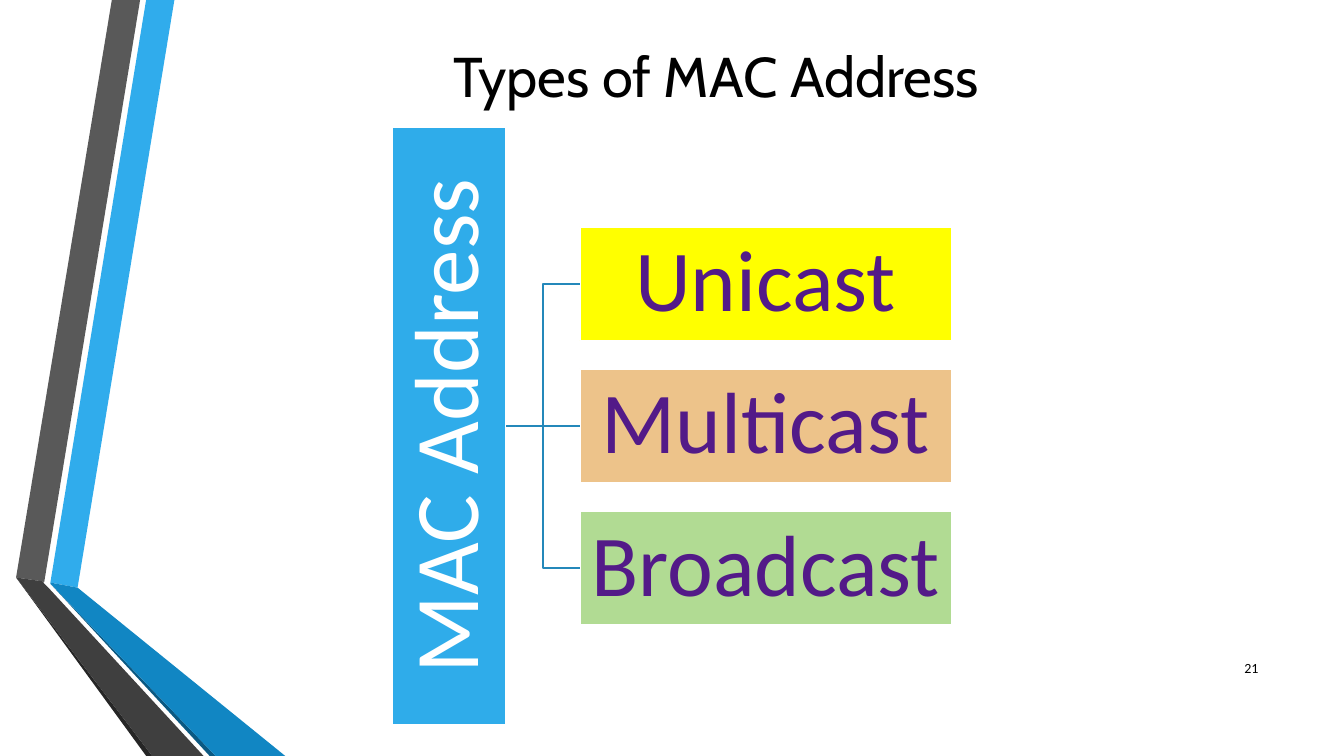
from dataclasses import dataclass

from lxml import etree
from pptx import Presentation
from pptx import util as u
from pptx.dml.color import RGBColor
from pptx.enum import shapes, text
from pptx.oxml.ns import qn


@dataclass(frozen=True)
class Theme:
    title_font: str = "Cabin"
    body_font: str = "Calibri"
    title_size: int = 40
    root_size: int = 65
    branch_size: int = 62
    number_size: int = 10
    black: str = "000000"
    white: str = "FFFFFF"
    purple: str = "531A88"
    root_fill: str = "2FACEA"
    connector: str = "2488BA"
    line_width: float = 1.25


THEME = Theme()

RIBBONS = [
    ("30ACEC", [(0.5, 5.78), (0.77, 5.83), (1.73, 0), (1.45, 0)]),
    ("595959", [(1.39, 0), (1.11, 0), (0.16, 5.73), (0.44, 5.77)]),
    ("262626", [(0.16, 5.73), (1.45, 7.5), (1.51, 7.5)]),
    ("0B5982", [(0.5, 5.79), (2.08, 7.5), (2.14, 7.5)]),
    ("1186C3", [(0.5, 5.79), (2.14, 7.5), (2.83, 7.5), (0.77, 5.83), (0.5, 5.78)]),
    ("3F3F3F", [(2.02, 7.5), (0.48, 5.83), (0.43, 5.78), (0.44, 5.77),
                (0.16, 5.73), (1.51, 7.5)]),
]

BRANCHES = [("Unicast", "FFFF00"), ("Multicast", "EDC38A"), ("Broadcast", "B1DB93")]
BRANCH_TOP, BRANCH_PITCH = 2.25, 1.41
BOX_DEPTH = 1.13
TOP, LEFT, BOTTOM, RIGHT = range(4)


def write_text(shape, content, *, size, color, font=THEME.body_font,
               align=text.PP_ALIGN.CENTER, spacing=None, inset=(0.1, 0.05)):
    frame = shape.text_frame
    frame.word_wrap = True
    frame.auto_size = text.MSO_AUTO_SIZE.NONE
    frame.vertical_anchor = text.MSO_ANCHOR.MIDDLE
    frame.margin_left = frame.margin_right = u.Inches(inset[0])
    frame.margin_top = frame.margin_bottom = u.Inches(inset[1])
    paragraph = frame.paragraphs[0]
    paragraph.alignment = align
    if spacing:
        paragraph.line_spacing = spacing
    run = paragraph.add_run()
    run.text = content
    run.font.name = font
    run.font.size = u.Pt(size)
    run.font.color.rgb = RGBColor.from_string(color)


def fill_shape(shape, color):
    shape.shadow.inherit = False
    shape.fill.solid()
    shape.fill.fore_color.rgb = RGBColor.from_string(color)


def style_line(line, color):
    line.color.rgb = RGBColor.from_string(color)
    line.width = u.Pt(THEME.line_width)


def add_ribbon(slide, color, points):
    start, *rest = [(u.Inches(x), u.Inches(y)) for x, y in points]
    builder = slide.shapes.build_freeform(*start)
    builder.add_line_segments(rest, close=True)
    shape = builder.convert_to_shape()
    fill_shape(shape, color)
    shape.line.fill.background()


def add_title(slide, content):
    title = slide.shapes.title
    title.left, title.top = u.Inches(1.62), u.Inches(0.32)
    title.width, title.height = u.Inches(10.96), u.Inches(0.86)
    write_text(title, content, size=THEME.title_size, color=THEME.black,
               font=THEME.title_font)


def add_box(slide, content, position, fill, **text_format):
    box = slide.shapes.add_shape(shapes.MSO_SHAPE.RECTANGLE,
                                 *[u.Inches(length) for length in position])
    fill_shape(box, fill)
    style_line(box.line, THEME.white)
    write_text(box, content, spacing=0.9, **text_format)
    return box


def turn_text_upward(shape):
    shape.text_frame._txBody.find(qn("a:bodyPr")).set("vert", "vert270")


def add_branch_connector(slide, root, branch, kind):
    connector = slide.shapes.add_connector(kind, 0, 0, 0, 0)
    connector.begin_connect(root, RIGHT)
    connector.end_connect(branch, LEFT)
    style_line(connector.line, THEME.connector)
    etree.SubElement(connector._element.spPr, qn("a:effectLst"))


def add_tree(slide):
    middle = len(BRANCHES) // 2
    root_height = 5.93
    root_top = BRANCH_TOP + middle * BRANCH_PITCH + (BOX_DEPTH - root_height) / 2
    root = add_box(slide, "MAC Address", (3.89, root_top, BOX_DEPTH, root_height),
                   THEME.root_fill, size=THEME.root_size, color=THEME.white,
                   inset=(0.05, 0.05))
    turn_text_upward(root)
    for index, (name, fill) in enumerate(BRANCHES):
        top = BRANCH_TOP + index * BRANCH_PITCH
        branch = add_box(slide, name, (5.75, top, 3.69, BOX_DEPTH), fill,
                         size=THEME.branch_size, color=THEME.purple,
                         inset=(0.04, 0.04))
        kind = (shapes.MSO_CONNECTOR.STRAIGHT if index == middle
                else shapes.MSO_CONNECTOR.ELBOW)
        add_branch_connector(slide, root, branch, kind)


def add_page_number(slide, number):
    box = slide.shapes.add_textbox(u.Inches(11.98), u.Inches(6.43),
                                   u.Inches(0.6), u.Inches(0.4))
    write_text(box, number, size=THEME.number_size, color=THEME.black,
               align=text.PP_ALIGN.RIGHT)


def main():
    presentation = Presentation()
    presentation.slide_width = u.Inches(13.33)
    presentation.slide_height = u.Inches(7.5)
    slide = presentation.slides.add_slide(presentation.slide_layouts[5])
    for color, points in RIBBONS:
        add_ribbon(slide, color, points)
    add_title(slide, "Types of MAC Address")
    add_tree(slide)
    add_page_number(slide, "21")
    presentation.save("out.pptx")


if __name__ == "__main__":
    main()
